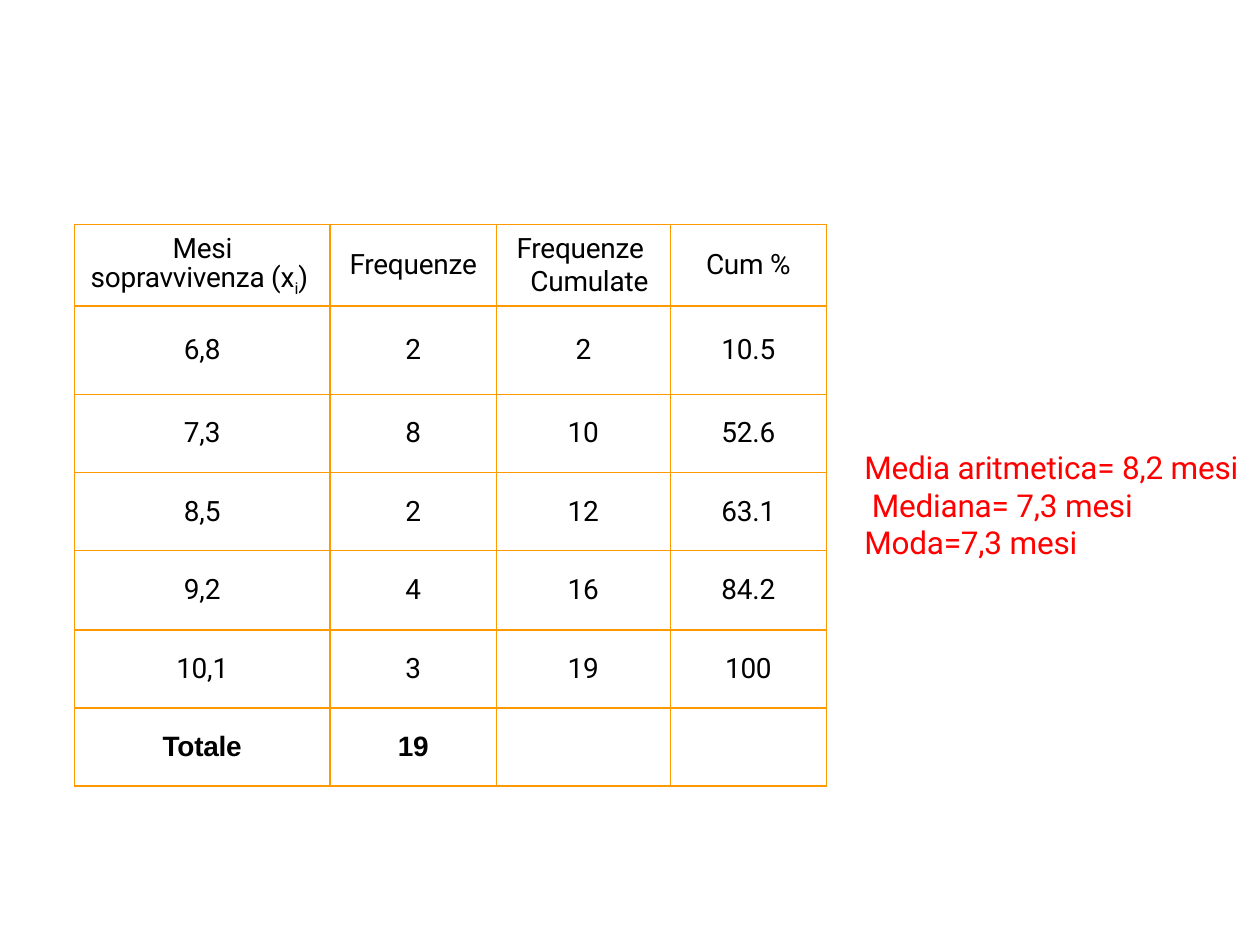
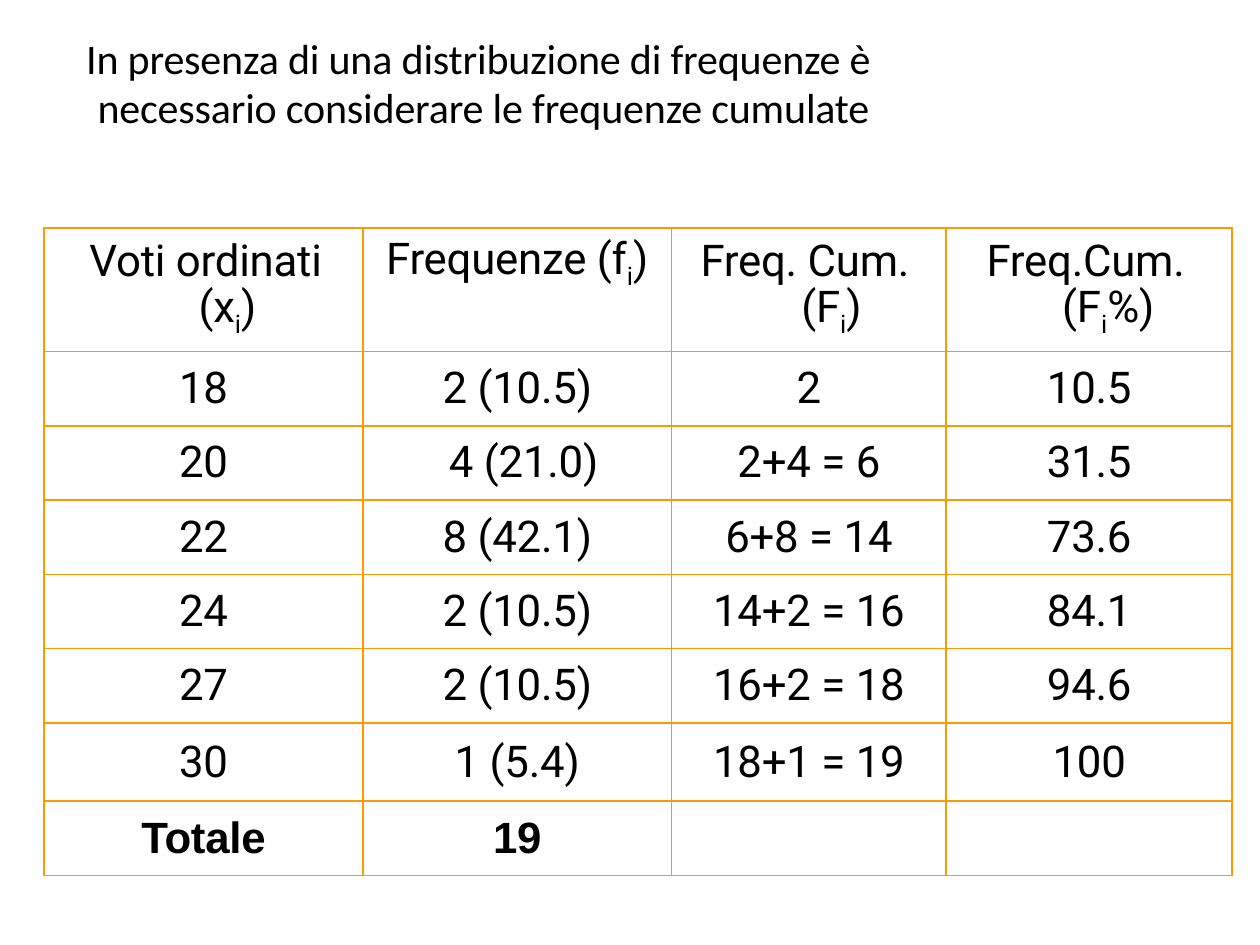
from lxml import etree
from pptx import Presentation
from pptx import util as u
from pptx.dml.color import RGBColor
from pptx.enum import text as t
from pptx.oxml.ns import qn

HUES = {"ink": "000000", "red": "FF0000", "rule": "FF9900"}
FONT, BOLD, HEAD = "Roboto", "Arial", "Calibri"
MID, TOP, LOW = t.MSO_ANCHOR.MIDDLE, t.MSO_ANCHOR.TOP, t.MSO_ANCHOR.BOTTOM
LEFT, MIDDLE = t.PP_ALIGN.LEFT, t.PP_ALIGN.CENTER


def write(para, words, size=16, font=FONT, hue="ink", bold=False,
          align=MIDDLE, left=0, line=None):
    """Fill a paragraph; parts between underscores become subscripts."""
    para.alignment = align
    if left:
        para._p.get_or_add_pPr().set("marL", str(u.Inches(left)))
    if line:
        para.line_spacing = line
    para.space_before = u.Pt(0)
    for i, part in enumerate(words.split("_")):
        run = para.add_run()
        run.text = part
        run.font.size, run.font.name, run.font.bold = u.Pt(size), font, bold
        run.font.color.rgb = RGBColor.from_string(HUES[hue])
        props = run._r.get_or_add_rPr()
        props.set("spc", "-10")
        if i % 2:
            props.set("baseline", "-25000")


def fill(frame, lines, **style):
    """Write (words, format) lines into a frame, one paragraph each."""
    for i, (words, extra) in enumerate(lines):
        para = frame.add_paragraph() if i else frame.paragraphs[0]
        write(para, words, **{**style, **extra})


def setup(frame, anchor, top=0):
    """Give a text frame tight margins and an anchor."""
    frame.margin_left = frame.margin_right = frame.margin_bottom = 0
    frame.margin_top = u.Inches(top)
    frame.word_wrap = True
    frame.auto_size = t.MSO_AUTO_SIZE.NONE
    frame.vertical_anchor = anchor


def edge(cell):
    """Draw the four borders of a cell."""
    props = cell._tc.get_or_add_tcPr()
    for i, side in enumerate(("lnL", "lnR", "lnT", "lnB")):
        line = etree.Element(qn("a:" + side), w=str(u.Pt(1)))
        paint = etree.SubElement(line, qn("a:solidFill"))
        etree.SubElement(paint, qn("a:srgbClr"), val=HUES["rule"])
        props.insert(i, line)


def grid(slide, box, cols, highs, rows, size, head=MID, top=0):
    """Add a ruled frequency table whose last row holds the total."""
    table = slide.shapes.add_table(
        len(rows), len(cols), *map(u.Inches, box)).table
    table.first_row = table.horz_banding = False
    for col, wide in zip(table.columns, cols):
        col.width = u.Inches(wide)
    last = len(rows) - 1
    for r, (row, high) in enumerate(zip(rows, highs)):
        table.rows[r].height = u.Inches(high)
        for c, item in enumerate(row):
            cell = table.cell(r, c)
            cell.margin_left = cell.margin_right = cell.margin_bottom = 0
            cell.margin_top = 0 if r else u.Inches(top)
            cell.vertical_anchor = MID if r else head
            cell.fill.background()
            edge(cell)
            if item:
                lines = [(item, {})] if isinstance(item, str) else item
                fill(cell.text_frame, lines, size=size, bold=r == last,
                     font=BOLD if r == last else FONT)


def stack(*lines, line):
    """Make left-aligned header lines from (words, indent) pairs."""
    return [(words, dict(align=LEFT, left=left, line=u.Pt(line)))
            for words, left in lines]


def title(slide, box, lines):
    """Place the slide title in its placeholder."""
    shape = slide.shapes.title
    shape.left, shape.top, shape.width, shape.height = map(u.Inches, box)
    setup(shape.text_frame, LOW, 0.04)
    fill(shape.text_frame, lines, size=24, font=HEAD, line=u.Pt(28))


def note(slide, box, lines):
    """Add the red summary of the averages."""
    frame = slide.shapes.add_textbox(*map(u.Inches, box)).text_frame
    setup(frame, TOP, 0.02)
    fill(frame, lines, size=18, hue="red", align=LEFT, line=0.99)


def months(deck):
    """Build the survival slide."""
    slide = deck.slides.add_slide(deck.slide_layouts[6])
    rows = [
        [stack(("Mesi", 0.78), ("sopravvivenza (x_i_)", 0.13), line=19),
         "Frequenze",
         stack(("Frequenze", 0.16), ("Cumulate", 0.27), line=19),
         "Cum %"],
        ["6,8", "2", "2", "10.5"],
        ["7,3", "8", "10", "52.6"],
        ["8,5", "2", "12", "63.1"],
        ["9,2", "4", "16", "84.2"],
        ["10,1", "3", "19", "100"],
        ["Totale", "19", "", ""],
    ]
    grid(slide, (0.59, 1.78, 5.97, 4.47), (2.03, 1.32, 1.38, 1.24),
         [0.65, 0.7, 0.62, 0.62, 0.63, 0.62, 0.62], rows, 16)
    note(slide, (6.86, 3.55, 3.1, 0.92),
         [("Media aritmetica= 8,2 mesi", {}),
          ("Mediana= 7,3 mesi", dict(left=0.06)),
          ("Moda=7,3 mesi", {})])


def marks(deck):
    """Build the cumulative frequency slide."""
    slide = deck.slides.add_slide(deck.slide_layouts[5])
    title(slide, (0.33, 0.23, 6.93, 0.82),
          [("In presenza di una distribuzione di frequenze è", {}),
           ("necessario considerare le frequenze cumulate", dict(left=0.08))])
    rows = [
        [stack(("Voti ordinati", 0.36), line=30)
         + [("(x_i_)", dict(left=0.38, line=u.Pt(30)))],
         "Frequenze (f_i_)",
         stack(("Freq. Cum.", 0.23), ("(F_i_)", 1.03), line=30),
         stack(("Freq.Cum.", 0.32), ("(F_i_%)", 0.92), line=30)],
        ["18", "2 (10.5)", "2", "10.5"],
        ["20", [("4 (21.0)", dict(left=0.1))], "2+4 = 6", "31.5"],
        ["22", "8 (42.1)", "6+8 = 14", "73.6"],
        ["24", "2 (10.5)", "14+2 = 16", "84.1"],
        ["27", "2 (10.5)", "16+2 = 18", "94.6"],
        ["30", "1 (5.4)", "18+1 = 19", "100"],
        ["Totale", "19", "", ""],
    ]
    grid(slide, (0.35, 1.81, 9.43, 5.14), (2.53, 2.45, 2.18, 2.27),
         [0.98] + [0.59] * 5 + [0.62, 0.59], rows, 25, TOP, 0.05)


def main():
    """Build and save the deck."""
    deck = Presentation()
    deck.slide_width, deck.slide_height = u.Inches(10), u.Inches(7.5)
    months(deck)
    marks(deck)
    deck.save("out.pptx")


if __name__ == "__main__":
    main()
